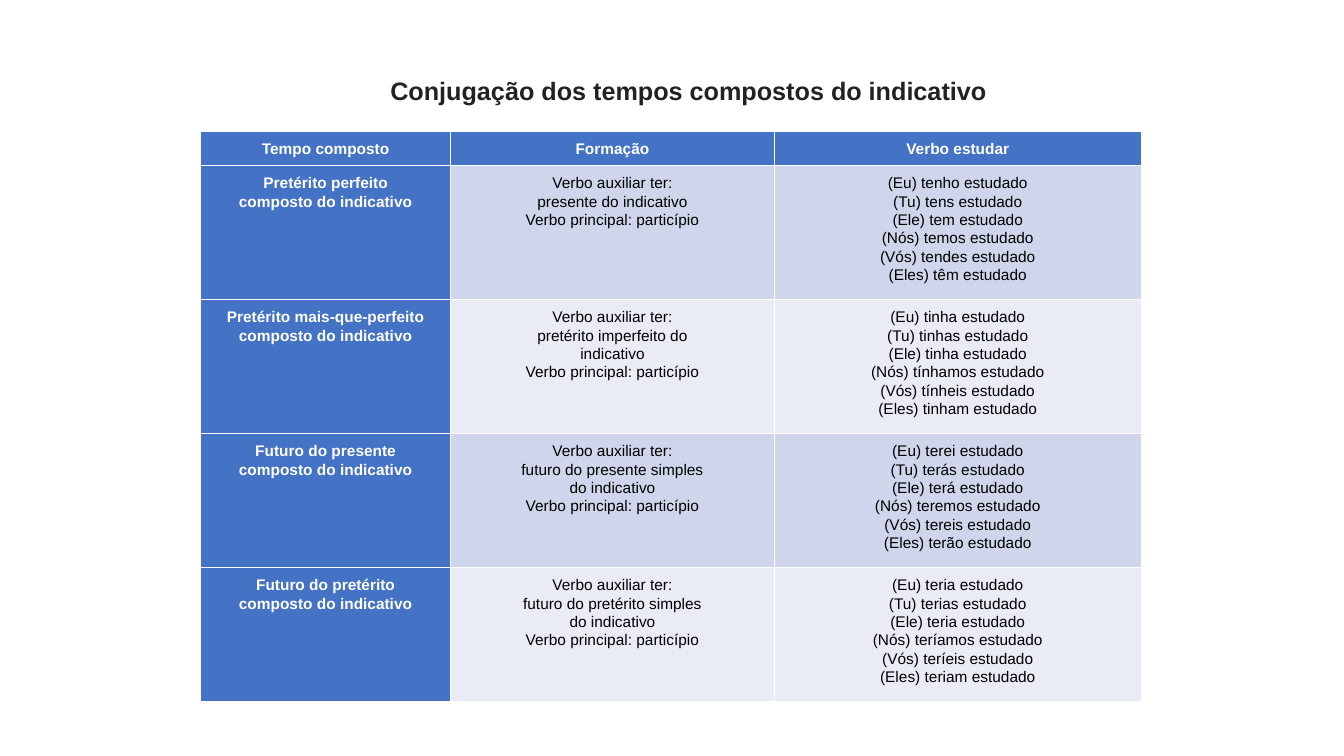
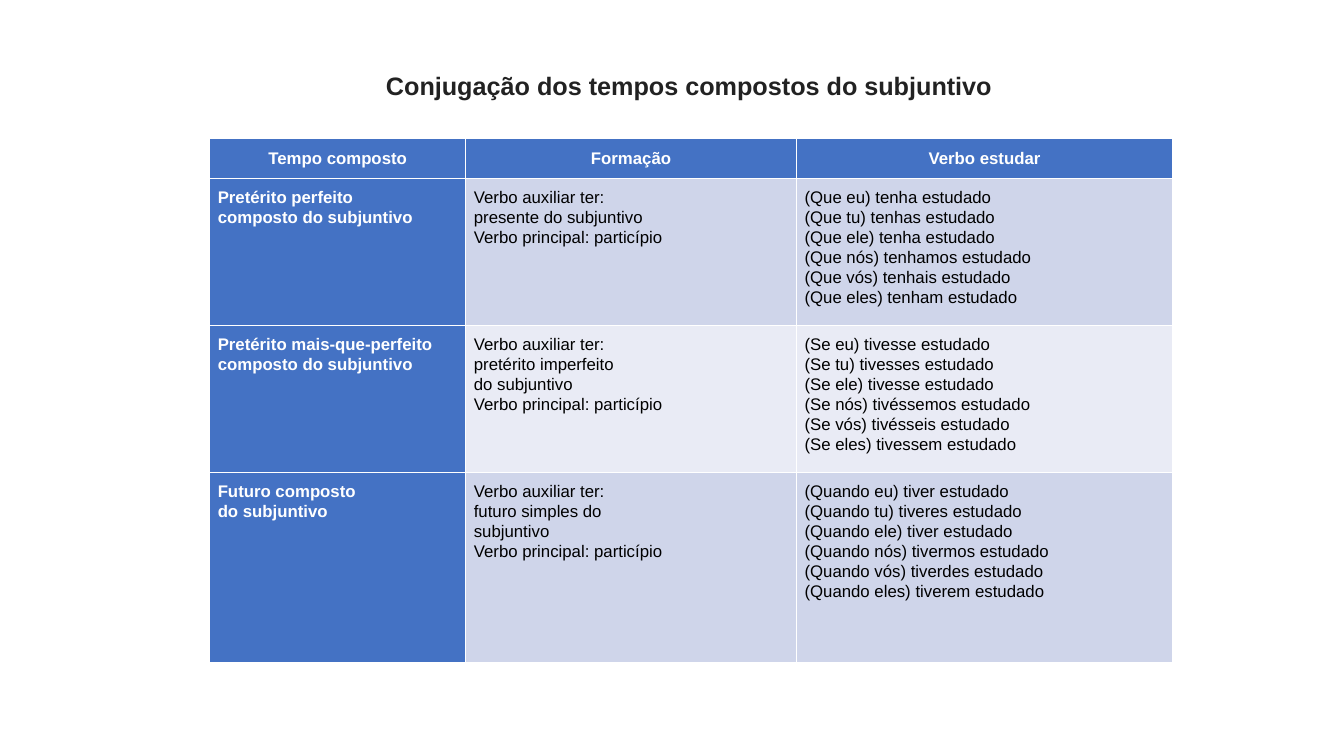
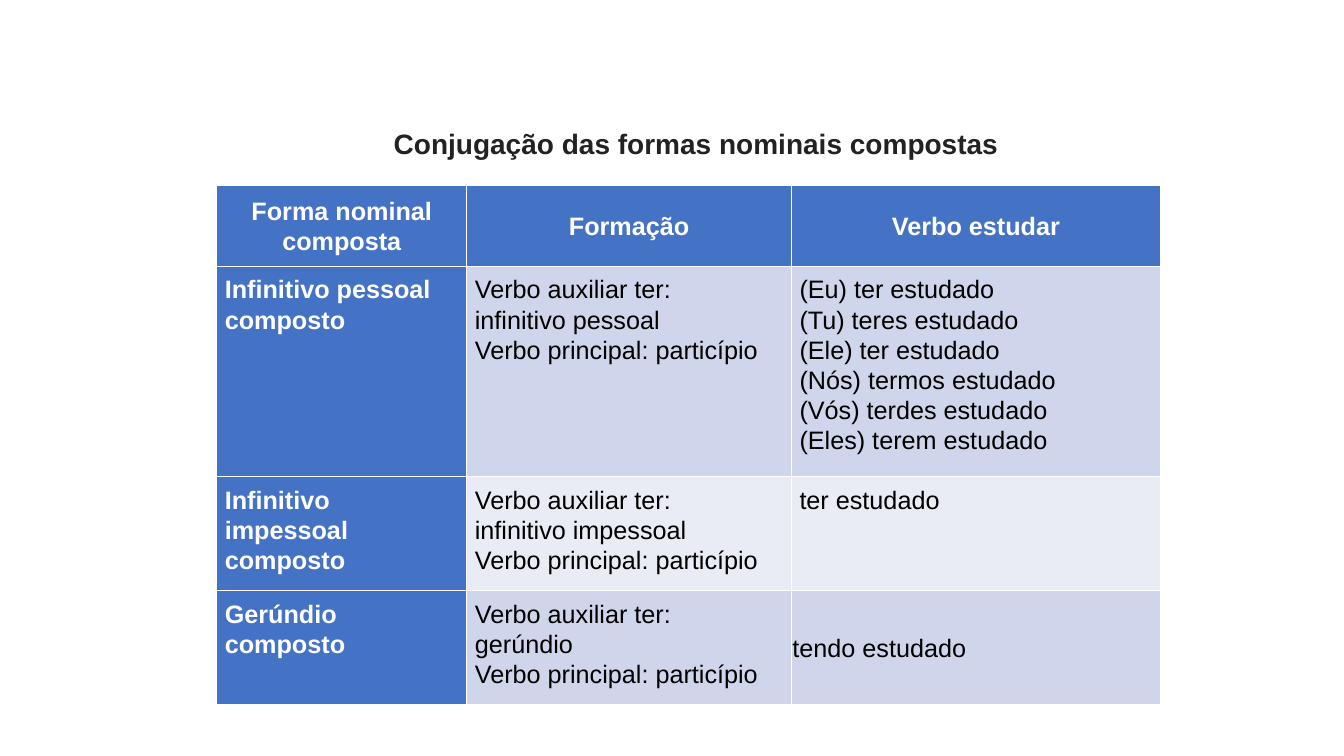
from pptx import Presentation
from pptx.dml.color import RGBColor
from pptx.enum.text import MSO_ANCHOR, PP_ALIGN
from pptx.util import Inches, Pt

CENTER, LEFT = PP_ALIGN.CENTER, PP_ALIGN.LEFT
TOP, MIDDLE = MSO_ANCHOR.TOP, MSO_ANCHOR.MIDDLE

WHITE = RGBColor(0xFF, 0xFF, 0xFF)
BLACK = RGBColor(0x00, 0x00, 0x00)
TITLE_INK = RGBColor(0x22, 0x22, 0x22)
BLUE = RGBColor(0x44, 0x72, 0xC4)
BANDS = RGBColor(0xCF, 0xD5, 0xEA), RGBColor(0xE9, 0xEB, 0xF5)

FONT = "Arial"
BREAK = "\v"  # line break inside a paragraph
LINE_SPACING = 1.07
CELL_MARGIN = 0.08
TITLE_ONLY = 5
PRONOUNS = "eu", "tu", "ele", "nós", "vós", "eles"
TENSE_HEADS = "Tempo composto", "Formação", "Verbo estudar"


def conjugate(auxiliaries, conjunction=""):
    """Six lines such as '(Que eu) tenha estudado'."""
    subjects = (f"{conjunction} {pronoun}".strip() for pronoun in PRONOUNS)
    return BREAK.join(f"({subject[0].upper()}{subject[1:]}) {auxiliary} estudado"
                      for subject, auxiliary in zip(subjects, auxiliaries.split()))


def formation(*auxiliary_lines):
    return BREAK.join(("Verbo auxiliar ter:", *auxiliary_lines)) + "\nVerbo principal: particípio"


def style_paragraphs(tf, size, color, bold, align):
    for p in tf.paragraphs:
        p.alignment = align
        p.font.name = FONT
        p.font.size = Pt(size)
        p.font.color.rgb = color
        p.font.bold = bold


def add_title(s, text, box, size):
    title = s.shapes.title
    title.left, title.top, title.width, title.height = map(Inches, box)
    title.text_frame.text = text
    style_paragraphs(title.text_frame, size, TITLE_INK, True, CENTER)


def fill_cell(cell, text, fill, size, color, bold, align, anchor=TOP):
    cell.fill.solid()
    cell.fill.fore_color.rgb = fill
    cell.vertical_anchor = anchor
    set_margins(cell, CELL_MARGIN)
    tf = cell.text_frame
    tf.text = text
    style_paragraphs(tf, size, color, bold, align)
    for p in tf.paragraphs:
        p.line_spacing = LINE_SPACING


def set_margins(cell, inches):
    cell.margin_left = cell.margin_right = Inches(inches)
    cell.margin_top = cell.margin_bottom = Inches(inches)


def add_verb_table(s, left, top, widths, heights, heads, rows, size, align):
    """Blue header row and first column, banded body."""
    table = s.shapes.add_table(len(heights), len(widths), Inches(left), Inches(top),
                               Inches(sum(widths)), Inches(sum(heights))).table
    table.first_col = True
    for column, width in zip(table.columns, widths):
        column.width = Inches(width)
    for row, height in zip(table.rows, heights):
        row.height = Inches(height)
    for c, head in enumerate(heads):
        fill_cell(table.cell(0, c), head, BLUE, size, WHITE, True, CENTER, MIDDLE)
    for r, (name, *details) in enumerate(rows, start=1):
        fill_cell(table.cell(r, 0), name, BLUE, size, WHITE, True, align)
        for c, text in enumerate(details, start=1):
            fill_cell(table.cell(r, c), text, BANDS[(r - 1) % 2], size, BLACK, False, align)
    return table


def add_slide(prs):
    return prs.slides.add_slide(prs.slide_layouts[TITLE_ONLY])


def indicative_slide(prs):
    s = add_slide(prs)
    add_title(s, "Conjugação dos tempos compostos do indicativo", (3.52, 0.7, 6.62, 0.4), 18)
    mood = BREAK + "composto do indicativo"
    rows = [
        ("Pretérito perfeito" + mood, formation("presente do indicativo"),
         conjugate("tenho tens tem temos tendes têm")),
        ("Pretérito mais-que-perfeito" + mood, formation("pretérito imperfeito do", "indicativo"),
         conjugate("tinha tinhas tinha tínhamos tínheis tinham")),
        ("Futuro do presente" + mood, formation("futuro do presente simples", "do indicativo"),
         conjugate("terei terás terá teremos tereis terão")),
        ("Futuro do pretérito" + mood, formation("futuro do pretérito simples", "do indicativo"),
         conjugate("teria terias teria teríamos teríeis teriam")),
    ]
    add_verb_table(s, 1.99, 1.3, (2.48, 3.21, 3.64), [0.34] + [1.33] * 4,
                   TENSE_HEADS, rows, 11, CENTER)


def subjunctive_slide(prs):
    s = add_slide(prs)
    add_title(s, "Conjugação dos tempos compostos do subjuntivo", (3.52, 0.65, 6.63, 0.4), 18)
    mood = BREAK + "composto do subjuntivo"
    rows = [
        ("Pretérito perfeito" + mood, formation("presente do subjuntivo"),
         conjugate("tenha tenhas tenha tenhamos tenhais tenham", "que")),
        ("Pretérito mais-que-perfeito" + mood, formation("pretérito imperfeito", "do subjuntivo"),
         conjugate("tivesse tivesses tivesse tivéssemos tivésseis tivessem", "se")),
        ("Futuro composto" + BREAK + "do subjuntivo", formation("futuro simples do", "subjuntivo"),
         conjugate("tiver tiveres tiver tivermos tiverdes tiverem", "quando")),
    ]
    add_verb_table(s, 2.08, 1.37, (2.54, 3.28, 3.73), (0.4, 1.46, 1.46, 1.88),
                   TENSE_HEADS, rows, 12, LEFT)


def nominal_forms_slide(prs):
    s = add_slide(prs)
    add_title(s, "Conjugação das formas nominais compostas", (3.76, 1.2, 6.29, 0.44), 20)
    rows = [
        ("Infinitivo pessoal composto", formation("infinitivo pessoal"),
         conjugate("ter teres ter termos terdes terem")),
        ("Infinitivo impessoal composto", formation("infinitivo impessoal"), "ter estudado"),
        ("Gerúndio composto", formation("gerúndio"), "tendo estudado"),
    ]
    table = add_verb_table(s, 2.15, 1.84, (2.48, 3.22, 3.66), (0.8, 2.09, 1.13, 1.13),
                           ("Forma nominal composta", *TENSE_HEADS[1:]), rows, 18, LEFT)
    gerund = table.cell(3, 2)
    gerund.vertical_anchor = MIDDLE
    set_margins(gerund, 0.01)


def main():
    prs = Presentation()
    prs.slide_width, prs.slide_height = Inches(13.33), Inches(7.5)
    indicative_slide(prs)
    subjunctive_slide(prs)
    nominal_forms_slide(prs)
    prs.save("out.pptx")


if __name__ == "__main__":
    main()
